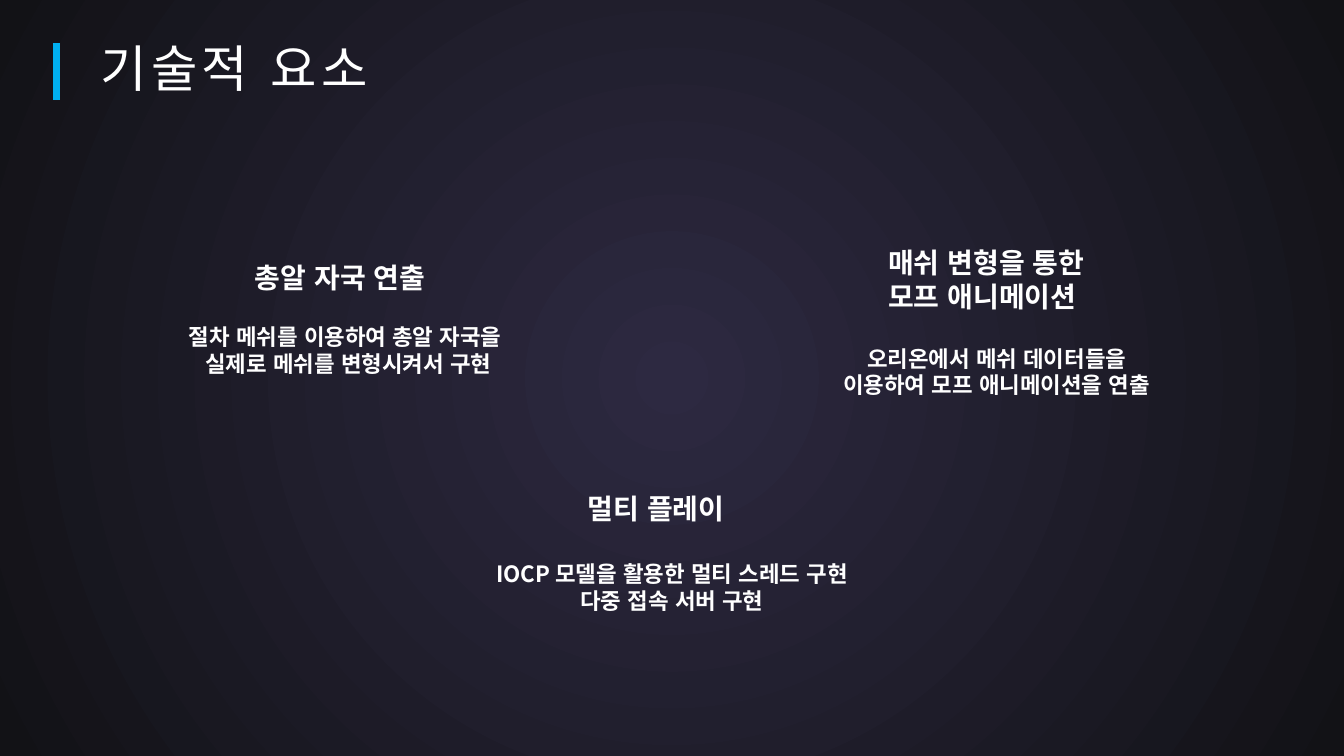
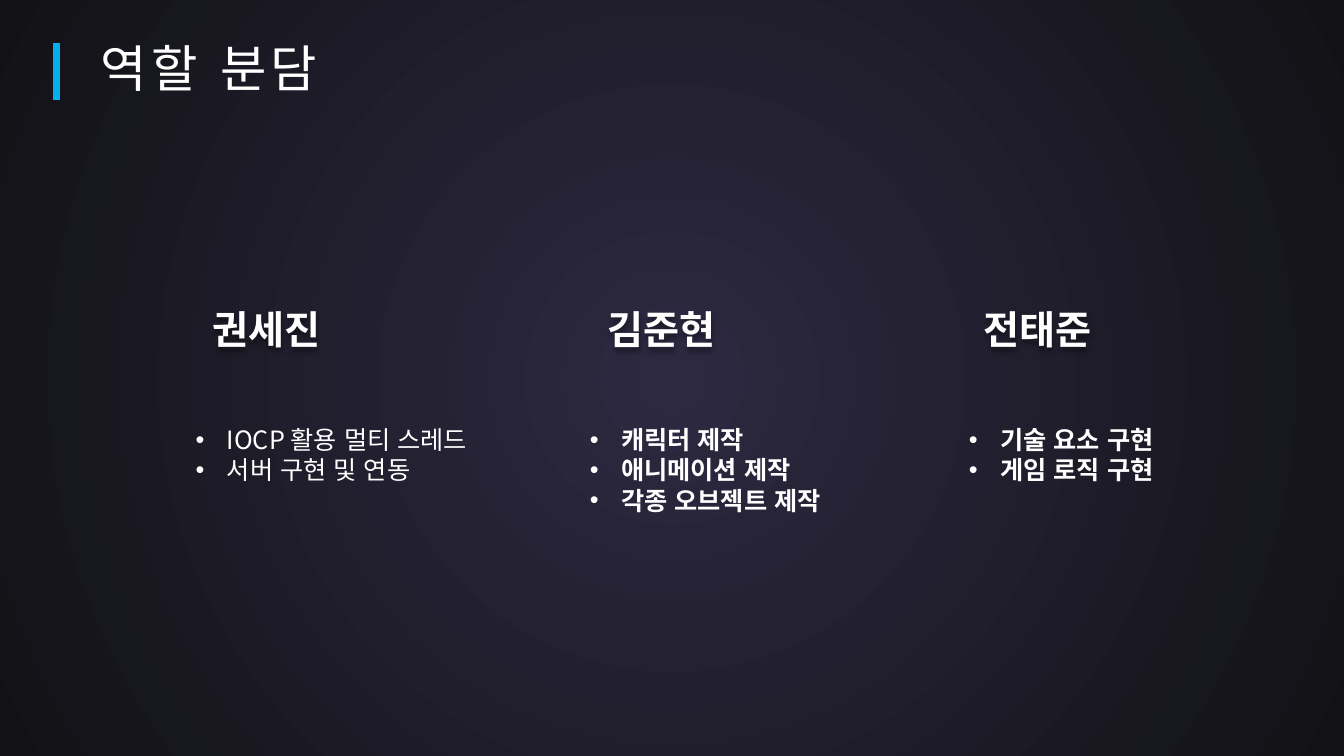
from lxml import etree
from pptx import Presentation
from pptx.dml.color import RGBColor
from pptx.enum.lang import MSO_LANGUAGE_ID
from pptx.enum.shapes import MSO_CONNECTOR, MSO_SHAPE
from pptx.enum.text import MSO_ANCHOR, MSO_AUTO_SIZE, PP_ALIGN
from pptx.oxml import parse_xml
from pptx.oxml.ns import nsdecls, qn
from pptx.util import Inches, Pt

LEFT, CENTER, JUSTIFY = PP_ALIGN.LEFT, PP_ALIGN.CENTER, PP_ALIGN.JUSTIFY
TOP, MIDDLE = MSO_ANCHOR.TOP, MSO_ANCHOR.MIDDLE
STRAIGHT, RECT = MSO_CONNECTOR.STRAIGHT, MSO_SHAPE.RECTANGLE
NO_FIT = MSO_AUTO_SIZE.NONE
KOREAN = MSO_LANGUAGE_ID.KOREAN

FONT = "Noto Sans CJK KR"
COLORS = {"back": "000000", "text": "FFFFFF", "accent": "00B0F0",
          "glow": "2D2941", "edge": "121216"}
TITLE_ONLY, COMPARISON = 5, 4

# heading, its box, body lines, their box
TOPICS = [
    ("총알 자국 연출", (2.43, 2.54, 2.2, 0.44),
     ["절차 메쉬를 이용하여 총알 자국을 ", "실제로 메쉬를 변형시켜서 구현"],
     (1.74, 3.16, 3.43, 0.64)),
    ("매쉬 변형을 통한 모프 애니메이션", (8.71, 2.39, 2.35, 0.77),
     ["오리온에서 메쉬 데이터들을 이용하여 모프 애니메이션을 연출"],
     (8.17, 3.37, 3.43, 0.91)),
    ("멀티 플레이", (5.73, 4.83, 1.82, 0.44),
     ["IOCP 모델을 활용한 멀티 스레드 구현", "다중 접속 서버 구현"],
     (4.66, 5.51, 4.01, 1.18)),
]

# name, name left, tasks, list left, list width, bold, alignment
ROLES = [
    ("권세진", 2.01, ["IOCP 활용 멀티 스레드", "서버 구현 및 연동"],
     1.84, 3.51, False, LEFT),
    ("김준현", 5.93, ["캐릭터 제작", "애니메이션 제작", "각종 오브젝트 제작"],
     5.75, 3, True, JUSTIFY),
    ("전태준", 9.66, ["기술 요소 구현", "게임 로직 구현"],
     9.51, 2.79, True, LEFT),
]


def color(key):
    return RGBColor.from_string(COLORS[key])


def add_glow(slide):
    """Put a radial gradient panel behind everything on the slide."""
    panel = slide.shapes.add_shape(
        RECT, 0, Inches(-0.01), Inches(13.33), Inches(7.52))
    panel.shadow.inherit = False
    panel.line.fill.background()
    panel.fill.gradient()
    for stop, key in zip(panel.fill.gradient_stops, ("glow", "edge")):
        stop.color.rgb = color(key)
    grad = panel._element.spPr.find(qn("a:gradFill"))
    grad.replace(grad.find(qn("a:lin")), parse_xml(
        f'<a:path {nsdecls("a")} path="circle">'
        '<a:fillToRect l="50000" t="50000" r="50000" b="50000"/></a:path>'))
    slide.shapes._spTree.insert(2, panel._element)


def place(shape, box):
    shape.left, shape.top, shape.width, shape.height = map(Inches, box)


def write(shape, lines, size, bold=True, align=LEFT, anchor=TOP):
    frame = shape.text_frame
    frame.word_wrap = True
    frame.auto_size = NO_FIT
    frame.vertical_anchor = anchor
    frame.text = "\n".join(lines)
    for para in frame.paragraphs:
        para.alignment = align
        para.space_before = Pt(0)
        for run in para.runs:
            font = run.font
            font.name, font.size, font.bold = FONT, Pt(size), bold
            font.language_id = KOREAN
            font.color.rgb = color("text")
            east = etree.SubElement(run._r.get_or_add_rPr(), qn("a:ea"))
            east.set("typeface", FONT)
            font._element.find(qn("a:latin")).addnext(east)


def add_text(slide, lines, box, size, align=LEFT):
    shape = slide.shapes.add_textbox(*map(Inches, box))
    write(shape, lines, size, align=align)
    return shape


def add_page(prs, layout, title):
    """Add a slide with the shared backdrop, title and accent bar."""
    slide = prs.slides.add_slide(prs.slide_layouts[layout])
    add_glow(slide)
    head = slide.shapes.title
    place(head, (0.9, 0.2, 4.44, 1.01))
    write(head, [title], 36, bold=False, anchor=MIDDLE)
    para = head.text_frame.paragraphs[0]
    para.line_spacing = 0.9
    para.runs[0].font._element.set("spc", "300")

    bar = slide.shapes.add_connector(
        STRAIGHT, Inches(0.56), Inches(0.99), Inches(0.56), Inches(0.43))
    bar.line.color.rgb = color("accent")
    bar.line.width = Pt(5.25)
    etree.SubElement(bar._element.spPr, qn("a:effectLst"))
    return slide


def add_shadow(shape):
    shape._element.spPr.append(parse_xml(
        f'<a:effectLst {nsdecls("a")}>'
        '<a:outerShdw blurRad="50800" dist="38100" dir="5400000">'
        '<a:srgbClr val="000000"><a:alpha val="40000"/></a:srgbClr>'
        '</a:outerShdw></a:effectLst>'))


def fill_list(holder, lines, box, bold, align):
    place(holder, box)
    write(holder, lines, 18, bold, align)
    for para in holder.text_frame.paragraphs:
        props = para._p.get_or_add_pPr()
        props.set("marL", str(Inches(0.31)))
        props.set("indent", str(-Inches(0.31)))
        etree.SubElement(props, qn("a:buFont")).set("typeface", "Arial")
        etree.SubElement(props, qn("a:buChar")).set("char", "•")


def add_topics(prs):
    slide = add_page(prs, TITLE_ONLY, "기술적 요소")
    for head, spot, lines, box in TOPICS:
        add_text(slide, [head], spot, 20)
        add_text(slide, lines, box, 16, CENTER)


def add_roles(prs):
    slide = add_page(prs, COMPARISON, "역할 분담")
    holders = list(slide.placeholders)[1:]
    for holder, role in zip(holders, ROLES):
        name, x, tasks, left, width, bold, align = role
        add_shadow(add_text(slide, [name], (x, 2.98, 1.59, 0.57), 28))
        high = 0.1 + 0.3 * len(tasks)
        fill_list(holder, tasks, (left, 4.16, width, high), bold, align)
    for spare in holders[len(ROLES):]:
        spare._element.getparent().remove(spare._element)


def main():
    prs = Presentation()
    prs.slide_width, prs.slide_height = Inches(13.33), Inches(7.5)
    back = prs.slide_master.background.fill
    back.solid()
    back.fore_color.rgb = color("back")
    add_topics(prs)
    add_roles(prs)
    prs.save("out.pptx")


if __name__ == "__main__":
    main()
